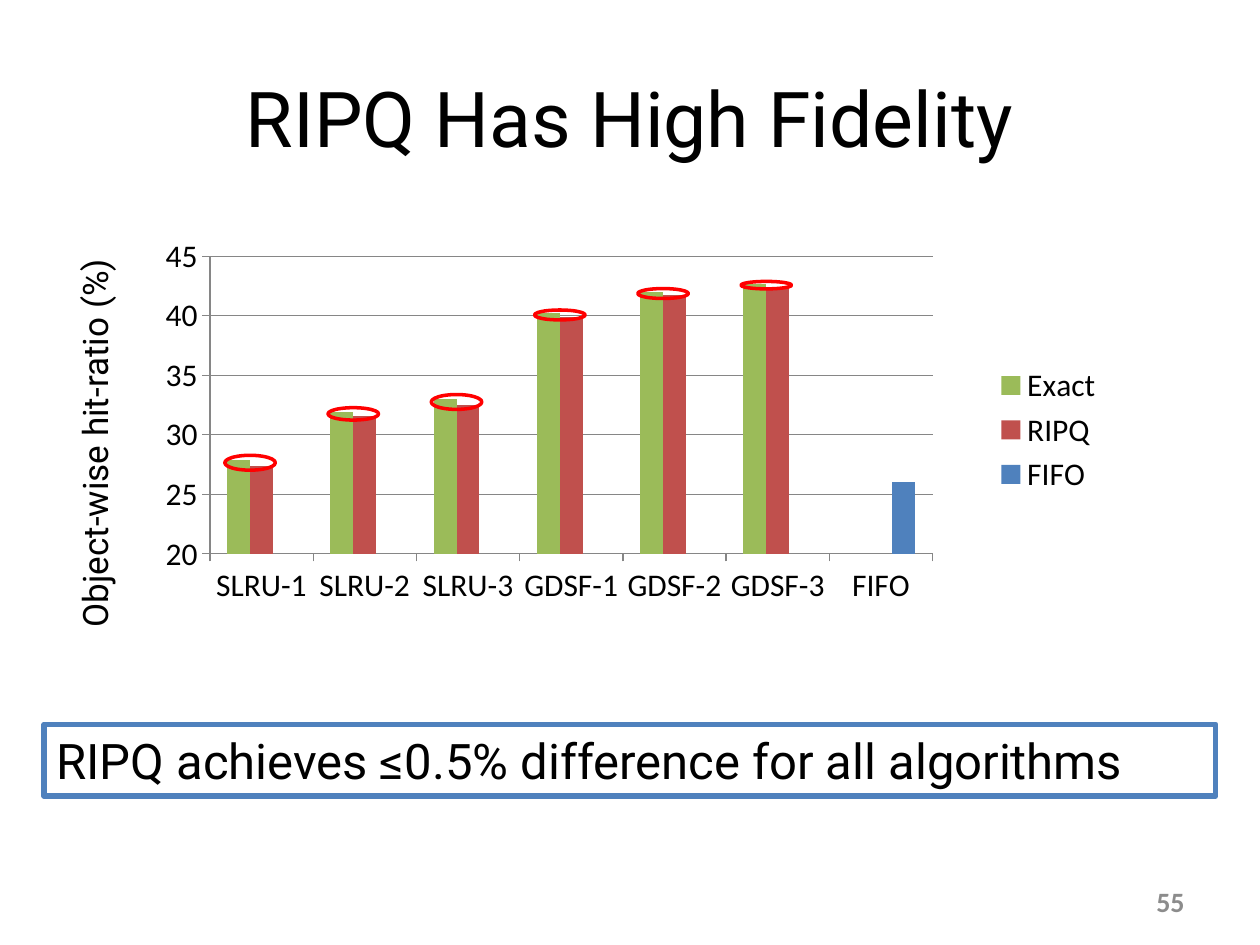
from lxml import etree
from pptx import Presentation
from pptx.chart import data as cd
from pptx.dml.color import RGBColor
from pptx.enum import chart as ch, shapes, text
from pptx.oxml import ns
from pptx.util import Cm, Pt

COLORS = {
    "text": "000000", "muted": "8C8C8C", "axis": "868686", "paper": "FFFFFF",
    "exact": "9BBB59", "ripq": "C0504D", "fifo": "4F81BD", "mark": "FF0000",
}
CATS = ["SLRU-1", "SLRU-2", "SLRU-3", "GDSF-1", "GDSF-2", "GDSF-3", "FIFO"]
EXACT = [27.9, 31.9, 33, 40.2, 42, 42.7, None]
RIPQ = [27.4, 31.6, 32.5, 39.9, 41.7, 42.4, None]
FIFO = [None] * 6 + [26]
MARK_HEIGHTS = [0.3, 0.25, 0.3, 0.2, 0.2, 0.15]
PLOT = {"x": 0.101, "y": 0.049, "w": 0.717, "h": 0.773}
LOW, HIGH, GAP = 20, 45, 150


def rgb(name):
    return RGBColor.from_string(COLORS[name])


def place(sp, box):
    sp.left, sp.top, sp.width, sp.height = (Cm(v) for v in box)


def write(sp, words, size, font="Roboto", color="text", bold=False,
          align=text.PP_ALIGN.LEFT, anchor=text.MSO_ANCHOR.TOP):
    tf = sp.text_frame
    tf.word_wrap = True
    tf.vertical_anchor = anchor
    p = tf.paragraphs[0]
    p.alignment = align
    r = p.add_run()
    r.text = words
    r.font.size, r.font.name, r.font.bold = Pt(size), font, bold
    r.font.color.rgb = rgb(color)


def add_title(s, box):
    place(s.shapes.title, box)
    write(s.shapes.title, "RIPQ Has High Fidelity", 44,
          align=text.PP_ALIGN.CENTER, anchor=text.MSO_ANCHOR.MIDDLE)


def add_page_number(s, box):
    sp = s.shapes.add_textbox(*(Cm(v) for v in box))
    write(sp, "55", 16, font="Calibri", color="muted", bold=True,
          align=text.PP_ALIGN.RIGHT, anchor=text.MSO_ANCHOR.MIDDLE)


def add_axis_label(s, box):
    sp = s.shapes.add_textbox(*(Cm(v) for v in box))
    write(sp, "Object-wise hit-ratio (%)", 20)
    sp.text_frame._txBody.bodyPr.set("vert", "vert270")


def set_plot_layout(chart):
    area = chart._chartSpace.chart.plotArea
    for old in area.findall(ns.qn("c:layout")):
        area.remove(old)
    layout = etree.Element(ns.qn("c:layout"))
    manual = etree.SubElement(layout, ns.qn("c:manualLayout"))
    settings = {"layoutTarget": "inner", "xMode": "edge", "yMode": "edge", **PLOT}
    for tag, value in settings.items():
        etree.SubElement(manual, ns.qn("c:" + tag)).set("val", str(value))
    area.insert(0, layout)


def add_hit_chart(s, box):
    data = cd.CategoryChartData()
    data.categories = CATS
    for name, values in (("Exact", EXACT), ("RIPQ", RIPQ), ("FIFO", FIFO)):
        data.add_series(name, values)
    chart = s.shapes.add_chart(ch.XL_CHART_TYPE.COLUMN_CLUSTERED,
                               *(Cm(v) for v in box), data).chart
    chart.has_title = False
    chart.font.size, chart.font.name = Pt(18), "Calibri"
    chart.font.color.rgb = rgb("text")
    chart.has_legend = True
    chart.legend.position = ch.XL_LEGEND_POSITION.RIGHT
    chart.legend.include_in_layout = False

    plot = chart.plots[0]
    plot.gap_width, plot.overlap, plot.vary_by_categories = GAP, 0, False
    for series in plot.series:
        series.format.fill.solid()
        series.format.fill.fore_color.rgb = rgb(series.name.lower())

    axis = chart.value_axis
    axis.minimum_scale, axis.maximum_scale, axis.major_unit = LOW, HIGH, 5
    axis.has_major_gridlines = True
    for line in (axis.format.line, axis.major_gridlines.format.line,
                 chart.category_axis.format.line):
        line.color.rgb = rgb("axis")
        line.width = Pt(0.75)
    for ax in (axis, chart.category_axis):
        ax.major_tick_mark = ch.XL_TICK_MARK.OUTSIDE
    set_plot_layout(chart)


def add_marks(s, box):
    left, top, width, height = box
    step = width * PLOT["w"] / len(CATS)
    bar = step / (3 + GAP / 100)
    first = left + width * PLOT["x"] + bar * (GAP / 200 + 1)
    bottom = top + height * (PLOT["y"] + PLOT["h"])
    scale = height * PLOT["h"] / (HIGH - LOW)
    mark_w = 1.02
    group = s.shapes.add_group_shape()
    for i, mark_h in enumerate(MARK_HEIGHTS):
        y = bottom - ((EXACT[i] + RIPQ[i]) / 2 - LOW) * scale
        sp = group.shapes.add_shape(
            shapes.MSO_SHAPE.OVAL, Cm(first + i * step - mark_w / 2),
            Cm(y - mark_h / 2), Cm(mark_w), Cm(mark_h))
        sp.shadow.inherit = False
        sp.fill.background()
        sp.line.color.rgb = rgb("mark")
        sp.line.width = Pt(2)


def add_takeaway(s, box):
    sp = s.shapes.add_shape(shapes.MSO_SHAPE.RECTANGLE, *(Cm(v) for v in box))
    sp.shadow.inherit = False
    sp.fill.solid()
    sp.fill.fore_color.rgb = rgb("paper")
    sp.line.color.rgb = rgb("fifo")
    sp.line.width = Pt(3)
    write(sp, "RIPQ achieves ≤0.5% difference for all algorithms", 28)


def main():
    prs = Presentation()
    prs.slide_width, prs.slide_height = Cm(25.4), Cm(19.05)
    s = prs.slides.add_slide(prs.slide_layouts[5])
    chart_box = (2.18, 4.78, 20.32, 7.77)
    add_title(s, (1.27, 0.76, 22.86, 3.18))
    add_page_number(s, (18.2, 17.66, 5.93, 1.01))
    add_axis_label(s, (1.35, 4.62, 1.37, 8.28))
    add_hit_chart(s, chart_box)
    add_marks(s, chart_box)
    add_takeaway(s, (0.89, 14.6, 23.62, 1.45))
    prs.save("out.pptx")


if __name__ == "__main__":
    main()
